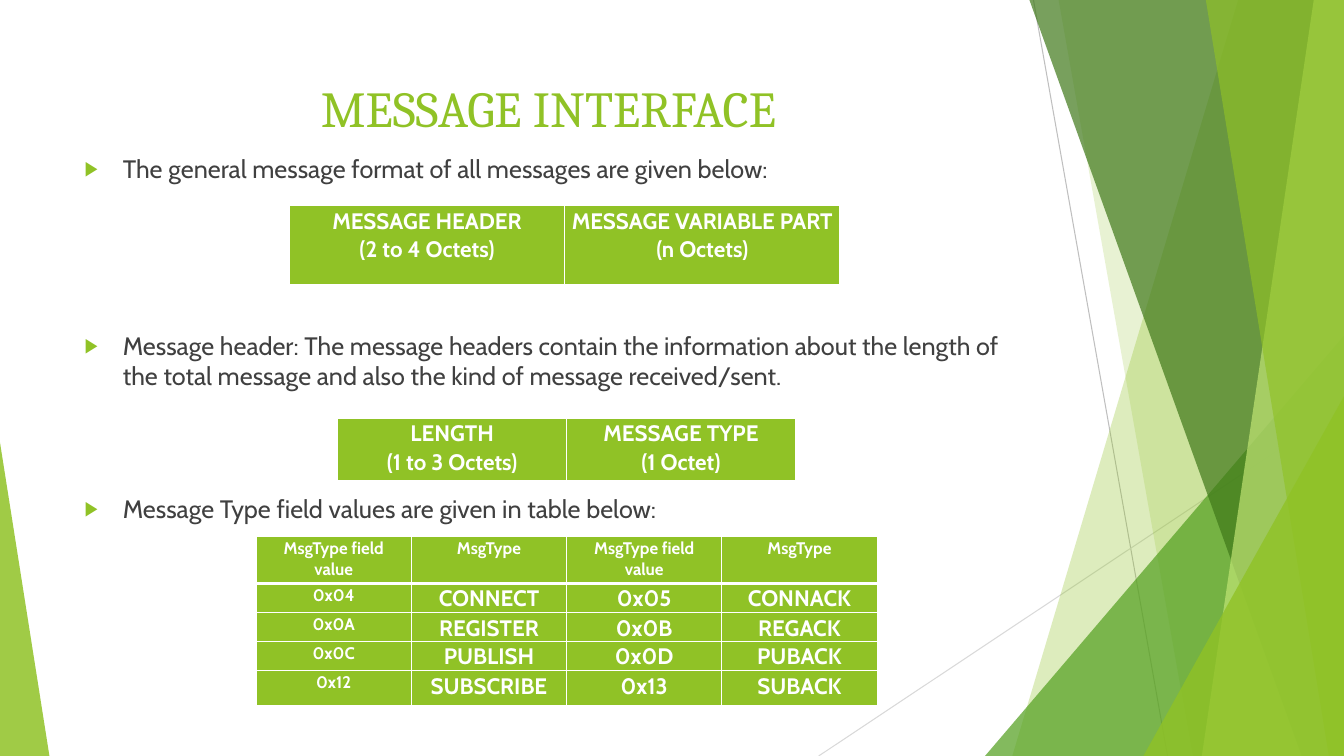
from dataclasses import dataclass

from lxml.etree import SubElement
from pptx import Presentation
from pptx.dml.color import RGBColor
from pptx.enum.shapes import MSO_CONNECTOR, MSO_SHAPE
from pptx.enum.text import MSO_ANCHOR, PP_ALIGN
from pptx.oxml.ns import qn
from pptx.util import Inches, Pt


@dataclass(frozen=True)
class Theme:
    lime: str = "90C226"
    pale_lime: str = "C0E474"
    green: str = "54A021"
    dark_green: str = "3F7819"
    white: str = "FFFFFF"
    ink: str = "404040"
    line: str = "BFBFBF"
    light_line: str = "D9D9D9"
    title_font: str = "Cambria"
    body_font: str = "Cabin"
    title_size: int = 36
    body_size: int = 18
    cell_size: int = 16
    small_size: int = 12


theme = Theme()
WIDTH, HEIGHT = 13.33, 7.5


def add_text(para, text, size, color, font=theme.body_font, bold=False):
    span = para.add_run()
    span.text = text
    span.font.size = Pt(size)
    span.font.name = font
    span.font.bold = bold
    span.font.color.rgb = RGBColor.from_string(color)


deck = Presentation()
deck.slide_width, deck.slide_height = Inches(WIDTH), Inches(HEIGHT)
page = deck.slides.add_slide(deck.slide_layouts[6])

# Thin crossing lines
for x1, y1, x2, y2, color in [
    (10.25, 0, 11.58, HEIGHT, theme.line),
    (WIDTH, 4.03, 8.12, HEIGHT, theme.light_line),
]:
    line = page.shapes.add_connector(
        MSO_CONNECTOR.STRAIGHT, Inches(x1), Inches(y1), Inches(x2), Inches(y2))
    line.line.color.rgb = RGBColor.from_string(color)
    line.line.width = Pt(0.75)
    SubElement(line._element.spPr, qn("a:effectLst"))

# Facets: a panel has the top and bottom x of its slanted left edge,
# a triangle has left, top, width and the place of its peak
for kind, place, color, opacity in [
    ("panel", (12.28, 10.04), theme.lime, 30),
    ("panel", (10.5, 11.83), theme.lime, 20),
    ("triangle", (9.77, 3.33, 3.56, 1), theme.green, 72),
    ("panel", (10.21, 12.91), theme.dark_green, 70),
    ("panel", (13.03, 11.92), theme.pale_lime, 70),
    ("panel", (11.96, 13.18), theme.lime, 65),
    ("triangle", (11.34, 3.93, 1.99, 1), theme.lime, 80),
    ("triangle", (0, 4.39, 0.49, 0), theme.lime, 85),
]:
    if kind == "panel":
        top_x, bottom_x = place
        outline = page.shapes.build_freeform(Inches(top_x), 0)
        outline.add_line_segments([
            (Inches(x), Inches(y))
            for x, y in [(WIDTH, 0), (WIDTH, HEIGHT), (bottom_x, HEIGHT)]])
        facet = outline.convert_to_shape()
    else:
        left, top, width, peak = place
        facet = page.shapes.add_shape(
            MSO_SHAPE.ISOSCELES_TRIANGLE, Inches(left), Inches(top),
            Inches(width), Inches(HEIGHT - top))
        facet.adjustments[0] = peak
    facet.shadow.inherit = False
    facet.line.fill.background()
    facet.fill.solid()
    facet.fill.fore_color.rgb = RGBColor.from_string(color)
    tint = facet._element.spPr.find(qn("a:solidFill"))[0]
    SubElement(tint, qn("a:alpha"), val=str(opacity * 1000))

# Title
title = page.shapes.add_textbox(Inches(0.74), Inches(0.67), Inches(9.4), Inches(0.8))
title.text_frame.word_wrap = True
title.text_frame.vertical_anchor = MSO_ANCHOR.MIDDLE
para = title.text_frame.paragraphs[0]
para.alignment = PP_ALIGN.CENTER
add_text(para, "MESSAGE INTERFACE", theme.title_size, theme.lime, theme.title_font)

# Bullets, spaced to leave room for the tables
body = page.shapes.add_textbox(Inches(0.74), Inches(1.47), Inches(9.4), Inches(5.91))
body.text_frame.word_wrap = True
for index, (space, text) in enumerate([
    (0, "The general message format of all messages are given below:"),
    (105, "Message header: The message headers contain the information about "
          "the length of the total message and also the kind of message received/sent."),
    (73, "Message Type field values are given in table below:"),
]):
    para = body.text_frame.add_paragraph() if index else body.text_frame.paragraphs[0]
    para.space_before = Pt(space)
    add_text(para, text, theme.body_size, theme.ink)
    props = para._p.get_or_add_pPr()
    props.set("marL", str(Inches(0.38)))
    props.set("indent", str(-Inches(0.38)))
    SubElement(SubElement(props, qn("a:buClr")), qn("a:srgbClr"), val=theme.lime)
    SubElement(props, qn("a:buSzPct"), val="80000")
    SubElement(props, qn("a:buFont"), typeface="Arial")
    SubElement(props, qn("a:buChar"), char="▶")

# Tables: left, top, column width, row heights, rows of cell text
tables = [
    (2.87, 2.04, 2.73, [0.8],
     [["MESSAGE HEADER\n(2 to 4 Octets)", "MESSAGE VARIABLE PART\n(n Octets)"]]),
    (3.35, 4.15, 2.27, [0.63],
     [["LENGTH\n(1 to 3 Octets)", "MESSAGE TYPE\n(1 Octet)"]]),
    (2.54, 5.32, 1.54, [0.47, 0.29, 0.27, 0.29, 0.35],
     [["MsgType field value", "MsgType"] * 2,
      ["0x04", "CONNECT", "0x05", "CONNACK"],
      ["0x0A", "REGISTER", "0x0B", "REGACK"],
      ["0x0C", "PUBLISH", "0x0D", "PUBACK"],
      ["0x12", "SUBSCRIBE", "0x13", "SUBACK"]]),
]
for left, top, column_width, heights, rows in tables:
    columns = len(rows[0])
    table = page.shapes.add_table(
        len(rows), columns, Inches(left), Inches(top),
        Inches(column_width * columns), Inches(sum(heights))).table
    table.horz_banding = False
    for column in table.columns:
        column.width = Inches(column_width)
    for r, (height, texts) in enumerate(zip(heights, rows)):
        table.rows[r].height = Inches(height)
        for c, text in enumerate(texts):
            cell = table.cell(r, c)
            cell.margin_left = cell.margin_right = Inches(0.07)
            cell.margin_top = cell.margin_bottom = 0
            small = len(rows) > 1 and (r == 0 or c == 0)
            for index, words in enumerate(text.split("\n")):
                frame = cell.text_frame
                para = frame.add_paragraph() if index else frame.paragraphs[0]
                para.alignment = PP_ALIGN.CENTER
                para.line_spacing = 1.07
                add_text(para, words, theme.small_size if small else theme.cell_size,
                         theme.white, bold=True)
            cell_props = cell._tc.get_or_add_tcPr()
            edges = {"lnL": 1, "lnR": 1, "lnT": 3 if r == 1 else 1, "lnB": 3 if r == 0 else 1}
            for edge, points in edges.items():
                border = SubElement(cell_props, qn(f"a:{edge}"), w=str(Pt(points)))
                SubElement(SubElement(border, qn("a:solidFill")),
                           qn("a:srgbClr"), val=theme.white)
            cell.fill.solid()
            cell.fill.fore_color.rgb = RGBColor.from_string(theme.lime)

deck.save("out.pptx")
